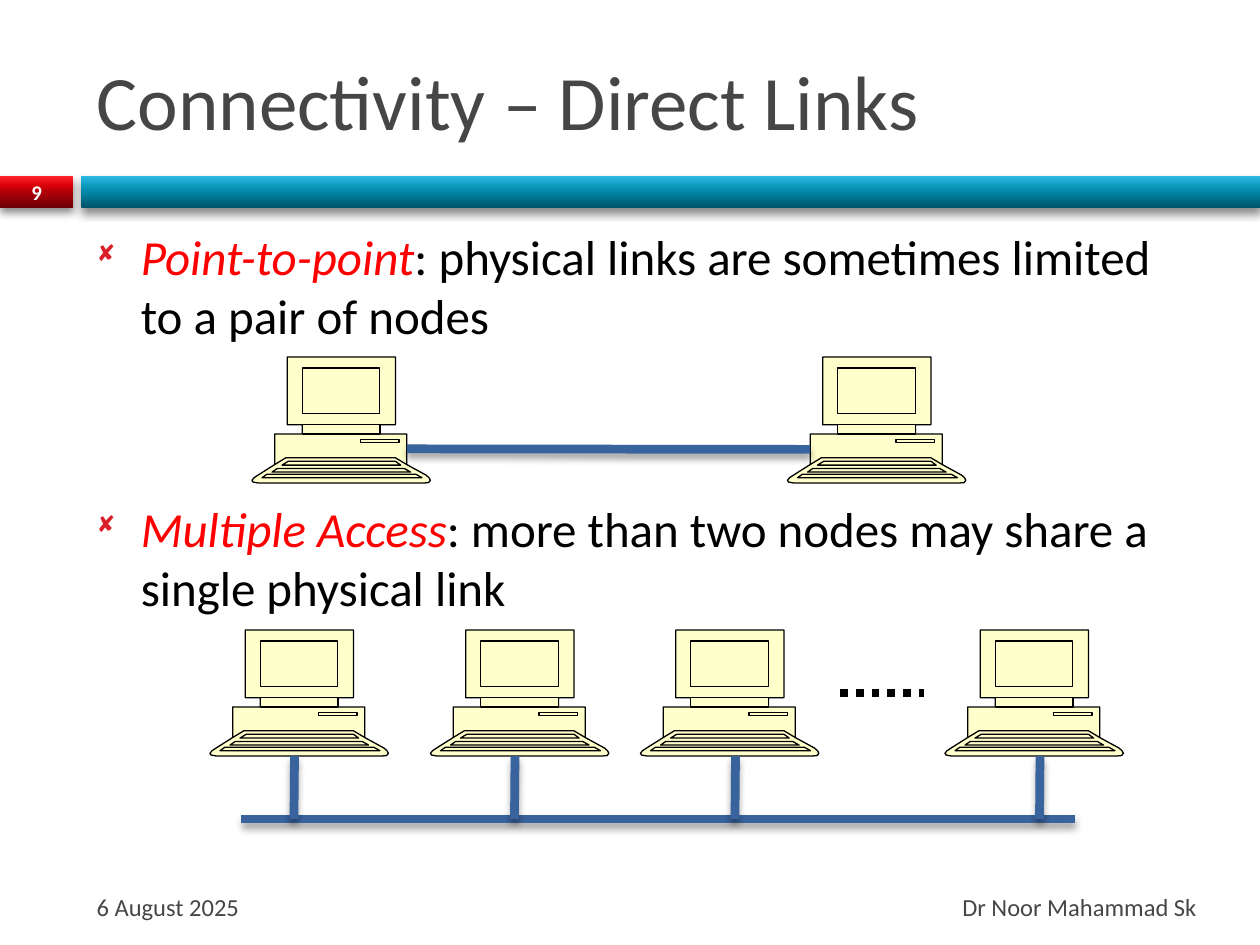
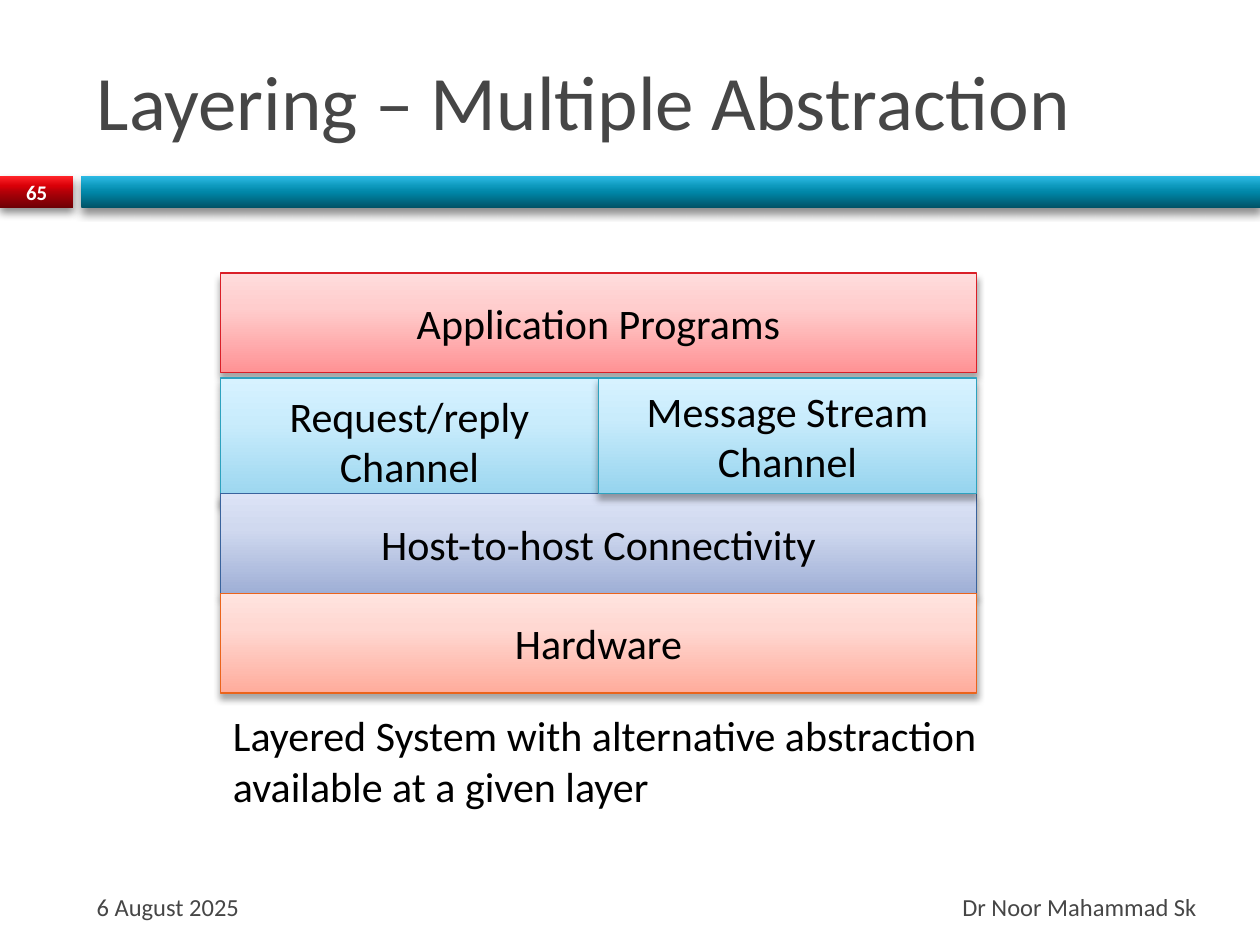
"""Build two network lecture slides: direct links and layered abstraction."""
import copy

import pptx
import pptx.dml.color
import pptx.enum.dml
import pptx.enum.shapes
import pptx.enum.text
import pptx.oxml
import pptx.oxml.ns
import pptx.util

Pt = pptx.util.Pt
ALIGN = pptx.enum.text.PP_ALIGN
ANCHOR = pptx.enum.text.MSO_ANCHOR
KIND = pptx.enum.shapes.MSO_SHAPE
FONT = "Calibri"
HUES = {
    "ink": "000000", "grey": "464646", "white": "FFFFFF", "key": "FF0000",
    "red": "DA1F28", "teal": "2DA2BF", "blue": "39639D", "rust": "EB641B",
    "cream": "FFFFCC",
}
BAND_STOPS = (0, 50, 70, 100)
PALE_STOPS = (0, 65, 100)
FADES = {
    "red band": ("6D0005", "B00008", "DA0008", "FF2429"),
    "teal band": ("005367", "0086A7", "0E9ABE", "2CB9E3"),
    "red": ("FF9294", "FFCDCD", "FFDCDC"),
    "teal": ("96D4EE", "C9ECFC", "D7F2FF"),
    "blue": ("9FAFD6", "D0D9EF", "DCE3F6"),
    "rust": ("FFAC9C", "FFD8D2", "FFE4DF"),
}
PC_HIGH = 72
PC_CASE = [
    (99.5, 67.5), (88.5, 61.5), (88.5, 44), (73.2, 44), (73.2, 38.7), (82, 38.7),
    (82, 0), (20.2, 0), (20.2, 38.7), (28.8, 38.7), (28.8, 44), (13, 44),
    (13, 61.5), (3.5, 67.5), (1.2, 69), (0, 70.5), (0.7, 71.5), (3.5, 72),
    (98.5, 72), (101, 71.8), (102, 70.5), (101.2, 69),
]
PC_LID = [(88.5, 61.5), (82, 57.6), (19.4, 57.6), (13, 61.5)]
PC_KEYS = [
    [(85, 61.8), (82, 59.6), (20.8, 59.6), (17.2, 61.8)],
    [(90.7, 65.8), (87, 63.7), (14.5, 63.7), (11.5, 65.8)],
    [(97.2, 69), (93.6, 67), (8.6, 67), (5.8, 69)],
]
PC_RECTS = [(28.8, 6.3, 44.2, 25.9), (28.8, 38.7, 44.4, 5.3), (62, 47.2, 22, 1.7)]


def hue(name):
    """Return the named colour."""
    return pptx.dml.color.RGBColor.from_string(HUES[name])


def node(tag, body="", **attrs):
    """Return a drawing element with the given inner markup."""
    pairs = " ".join(f'{key}="{val}"' for key, val in attrs.items())
    space = pptx.oxml.ns.nsdecls("a")
    return pptx.oxml.parse_xml(f"<a:{tag} {space} {pairs}>{body}</a:{tag}>")


def shade(shape, blur=4, alpha=35):
    """Give a shape a soft shadow that falls straight down."""
    body = (f'<a:outerShdw blurRad="{Pt(blur)}" dist="{Pt(3)}" dir="5400000" rotWithShape="0">'
            f'<a:srgbClr val="000000"><a:alpha val="{alpha * 1000}"/></a:srgbClr></a:outerShdw>')
    shape._element.spPr.append(node("effectLst", body))


def fade(shape, name, marks):
    """Fill a shape with a gradient that starts at its foot."""
    shape.fill.gradient()
    shape.fill.gradient_angle = 90
    stops = shape._element.spPr.find(".//" + pptx.oxml.ns.qn("a:gsLst"))
    for stop in list(stops):
        stops.remove(stop)
    for mark, tint in zip(marks, FADES[name]):
        stops.append(node("gs", f'<a:srgbClr val="{tint}"/>', pos=mark * 1000))


def style(run, size, tint, bold=False, italic=False):
    """Set the font of one run."""
    font = run.font
    font.name, font.size, font.bold, font.italic = FONT, Pt(size), bold, italic
    font.color.rgb = hue(tint)


def write(shape, text, size, tint, align=ALIGN.LEFT, anchor=ANCHOR.MIDDLE, bold=False):
    """Put one styled paragraph in a shape."""
    frame = shape.text_frame
    frame.text = text
    frame.word_wrap = True
    frame.vertical_anchor = anchor
    para = frame.paragraphs[0]
    para.alignment = align
    style(para.runs[0], size, tint, bold)


def label(slide, box, *args, **opts):
    """Add a text box at the given box."""
    write(slide.shapes.add_textbox(*map(Pt, box)), *args, **opts)


def frame(deck, title, number):
    """Add a slide with the shared title, bands and footer."""
    slide = deck.slides.add_slide(deck.slide_layouts[6])
    for name, left, wide in (("red band", 0, 42), ("teal band", 46.5, 673.5)):
        band = slide.shapes.add_shape(KIND.RECTANGLE, Pt(left), Pt(100.8), Pt(wide), Pt(18))
        fade(band, name, BAND_STOPS)
        band.line.fill.background()
        shade(band, blur=5, alpha=45)
    label(slide, (48.2, 18, 642, 78), title, 44, "grey")
    label(slide, (0, 100, 42, 19.5), number, 11.9, "white", align=ALIGN.CENTER, bold=True)
    label(slide, (48.2, 504, 210, 28.5), "6 August 2025", 14, "grey")
    label(slide, (264, 504, 427, 28.5), "Dr Noor Mahammad Sk", 14, "grey", align=ALIGN.RIGHT)
    return slide


def points(slide, box, items, gap):
    """Add bulleted terms with their meanings, set apart by a gap."""
    text = slide.shapes.add_textbox(*map(Pt, box)).text_frame
    text.word_wrap = True
    for index, (term, sense) in enumerate(items):
        para = text.add_paragraph() if index else text.paragraphs[0]
        props = para._p.get_or_add_pPr()
        props.set("marL", str(Pt(25.2)))
        props.set("indent", str(-Pt(25.2)))
        props.append(node("buClr", f'<a:srgbClr val="{HUES["red"]}"/>'))
        props.append(node("buSzPct", val=60000))
        props.append(node("buFont", typeface="Wingdings"))
        props.append(node("buChar", char="◻"))
        para.space_before = Pt(gap if index else 0)
        for part, tint in ((term, "key"), (sense, "ink")):
            run = para.add_run()
            run.text = part
            style(run, 28, tint, italic=tint == "key")


def split(shape):
    """Give each contour its own filled path."""
    whole = shape._element.spPr.find(".//" + pptx.oxml.ns.qn("a:path"))
    steps = list(whole)
    blank = copy.deepcopy(whole)
    for step in list(blank):
        blank.remove(step)
    move = pptx.oxml.ns.qn("a:moveTo")
    home = whole.getparent()
    home.remove(whole)
    for step in steps:
        if step.tag == move:
            home.append(copy.deepcopy(blank))
        home[-1].append(step)


def desktop(group, left, top):
    """Draw a desktop computer as one outline with inner contours."""
    rects = [[(x, y), (x + wide, y), (x + wide, y + high), (x, y + high)]
             for x, y, wide, high in PC_RECTS]
    pen = None
    for dots in [PC_CASE, PC_LID, *PC_KEYS, *rects]:
        first, *rest = [(Pt(left + x), Pt(top + y)) for x, y in dots]
        if pen is None:
            pen = group.shapes.build_freeform(*first, scale=1.0)
        else:
            pen.move_to(*first)
        pen.add_line_segments(rest, close=dots is not PC_LID)
    shape = pen.convert_to_shape()
    split(shape)
    shape.fill.solid()
    shape.fill.fore_color.rgb = hue("cream")
    shape.line.color.rgb = hue("ink")
    shape.line.width = Pt(0.75)
    shape.shadow.inherit = False


def wire(group, start, end, dots=False):
    """Draw a shaded cable, or a plain dotted line."""
    ends = map(Pt, (*start, *end))
    line = group.shapes.add_connector(pptx.enum.shapes.MSO_CONNECTOR.STRAIGHT, *ends)
    line.line.color.rgb = hue("ink" if dots else "blue")
    line.line.width = Pt(4.5 if dots else 5)
    if dots:
        line.line.dash_style = pptx.enum.dml.MSO_LINE.ROUND_DOT
        line._element.spPr.append(node("effectLst"))
    else:
        shade(line)


def pair(slide, left, top, step):
    """Draw two computers joined by a cable."""
    group = slide.shapes.add_group_shape()
    for x in (left + step, left):
        desktop(group, x, top)
    wire(group, (left + 88.5, top + 52.5), (left + step + 13, top + 52.8))


def bus(slide, left, top, steps, drops):
    """Draw computers that hang on one shared cable."""
    group = slide.shapes.add_group_shape()
    base = top + PC_HIGH
    rail = base + 36
    for step in steps:
        desktop(group, left + step, top)
    wire(group, (left + 18, rail), (left + 494.2, rail))
    wire(group, (left + 360, top + 36), (left + 408, top + 36), dots=True)
    for drop in drops:
        wire(group, (left + drop, rail), (left + drop + 0.3, base))


def layer(group, box, text, name):
    """Draw one layer of the stack."""
    block = group.shapes.add_shape(KIND.RECTANGLE, *map(Pt, box))
    fade(block, name, PALE_STOPS)
    block.line.color.rgb = hue(name)
    block.line.width = Pt(0.75)
    shade(block)
    write(block, text, 24, "ink", align=ALIGN.CENTER)


def stack(slide, left, top, wide):
    """Draw the layers, with two channels side by side."""
    group = slide.shapes.add_group_shape()
    half, high = wide / 2, 57
    layer(group, (left, top, wide, high), "Application Programs", "red")
    layer(group, (left, top + 60, half, 72), "Request/reply Channel", "teal")
    layer(group, (left, top + 126, wide, high), "Host-to-host Connectivity", "blue")
    layer(group, (left, top + 126 + high, wide, high), "Hardware", "rust")
    layer(group, (left + half, top + 60, half, 66), "Message Stream Channel", "teal")


def links(deck):
    """Build the slide on direct links."""
    slide = frame(deck, "Connectivity – Direct Links", "9")
    points(slide, (48.2, 126, 642, 354), [
        ("Point-to-point", ": physical links are sometimes limited to a pair of nodes"),
        ("Multiple Access", ": more than two nodes may share a single physical link"),
    ], gap=88)
    pair(slide, 144, 204, 306)
    bus(slide, 120, 360, (126, 0, 420, 246), (48, 174, 300, 474))


def layers(deck):
    """Build the slide on layering."""
    slide = frame(deck, "Layering – Multiple Abstraction", "65")
    stack(slide, 126, 156, 432)
    label(slide, (126, 402, 528, 65.5),
          "Layered System with alternative abstraction available at a given layer",
          24, "ink", anchor=ANCHOR.TOP)


def main():
    """Build and save the deck."""
    deck = pptx.Presentation()
    deck.slide_width, deck.slide_height = Pt(720), Pt(540)
    links(deck)
    layers(deck)
    deck.save("out.pptx")


if __name__ == "__main__":
    main()
